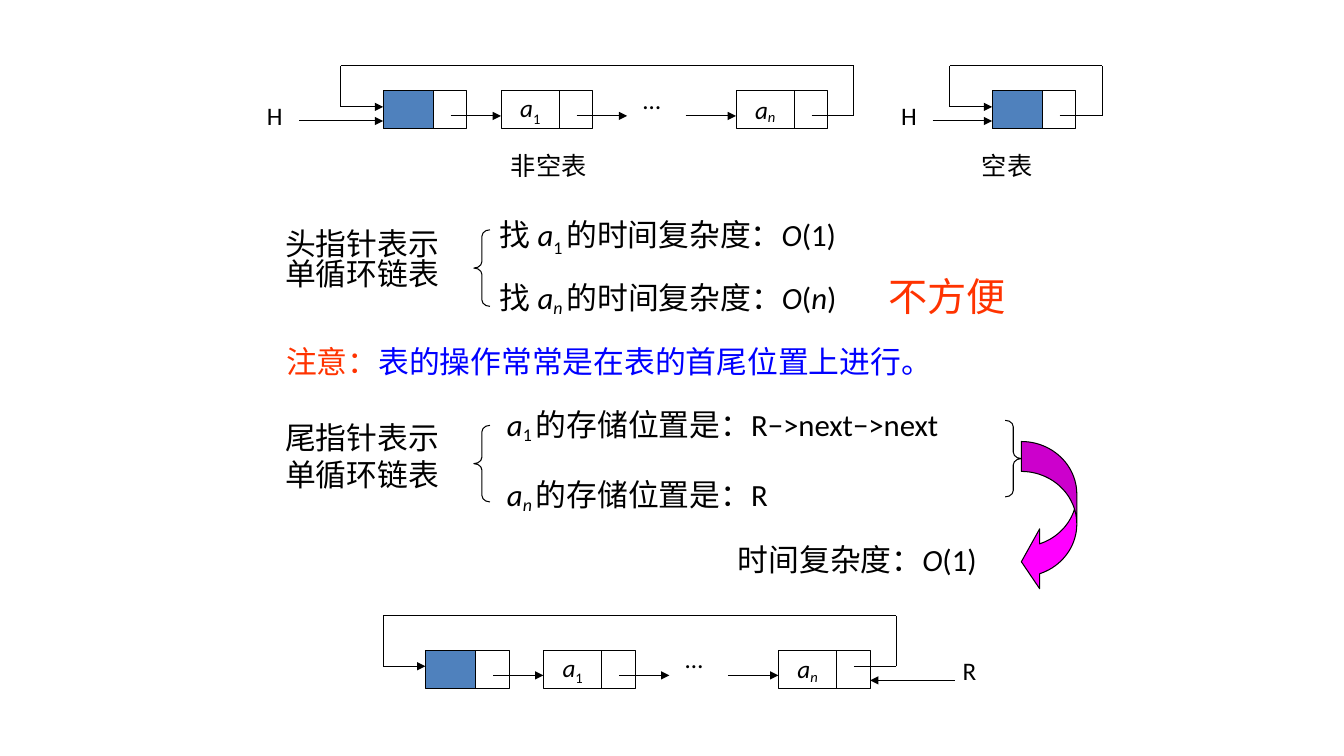
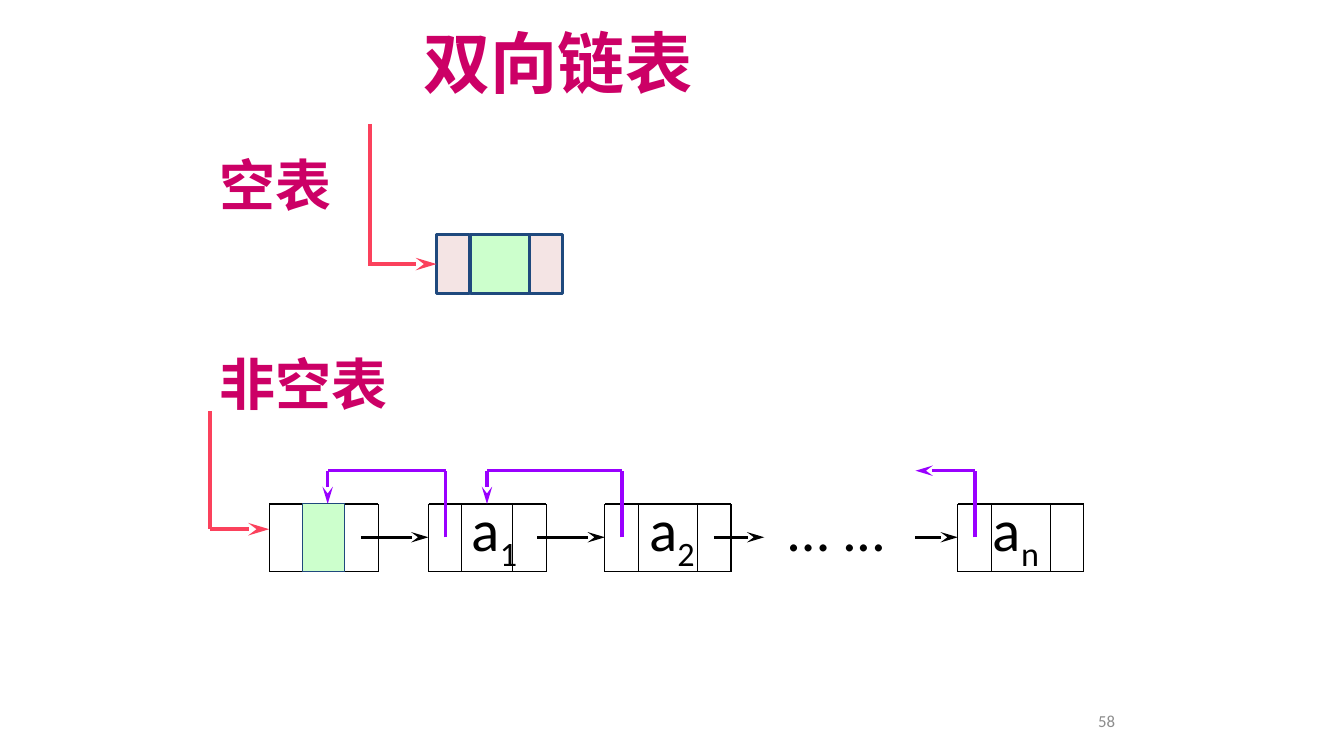
import pptx
import pptx.util
import pptx.dml.color
import pptx.enum.shapes
import pptx.enum.text
import pptx.oxml.ns
import lxml.etree

PX = 9144  # 100 px to the inch
COLORS = {
    "black": "000000", "grey": "8C8C8C", "red": "FF3300", "blue": "0000FF",
    "head": "4F81BD", "magenta": "FF00FF", "title": "CC0066", "coral": "FB415C",
    "violet": "9900FF", "green": "CCFFCC", "pink": "F4E4E4", "navy": "1F497D",
}
COLORS = {name: pptx.dml.color.RGBColor.from_string(value) for name, value in COLORS.items()}
SHAPE = pptx.enum.shapes.MSO_SHAPE
ALIGN = pptx.enum.text.PP_ALIGN
MIDDLE = pptx.enum.text.MSO_ANCHOR.MIDDLE
qn = pptx.oxml.ns.qn

deck = pptx.Presentation()
deck.slide_width, deck.slide_height = 1333 * PX, 750 * PX


def write(box, lines, size, color="black", bold=None, spacing=None, font="Calibri", align=ALIGN.LEFT):
    """Fill a box; a line is a list of runs (text, italic, baseline percent, colour)."""
    frame = box.text_frame
    frame.word_wrap = True
    for index, runs in enumerate(lines):
        para = frame.add_paragraph() if index else frame.paragraphs[0]
        para.alignment = align
        para.line_spacing = spacing
        para.font.size = pptx.util.Pt(size)
        para.font.bold = bold
        para.font.name = font
        para.font.color.rgb = COLORS[color]
        properties = para._p.pPr.find(qn("a:defRPr"))
        properties.set("lang", "zh-CN")
        lxml.etree.SubElement(properties, qn("a:ea")).set("typeface", font)
        for text, *style in runs:
            italic, baseline, tint = (style + [False, 0, None][len(style):])
            span = para.add_run()
            span.text = text
            if italic:
                span.font.italic = True
            if baseline:
                span._r.get_or_add_rPr().set("baseline", str(baseline * 1000))
            if tint:
                span.font.color.rgb = COLORS[tint]
    return frame


def draw_path(page, points, color="black", width=0.75, arrow=None):
    """Join the points with straight lines and return the last one."""
    for (x1, y1), (x2, y2) in zip(points, points[1:]):
        line = page.shapes.add_connector(
            pptx.enum.shapes.MSO_CONNECTOR.STRAIGHT, x1 * PX, y1 * PX, x2 * PX, y2 * PX)
        line.line.color.rgb = COLORS[color]
        line.line.width = pptx.util.Pt(width)
        lxml.etree.SubElement(line._element.spPr, qn("a:effectLst"))
    if arrow:
        tail = lxml.etree.SubElement(line.line._get_or_add_ln(), qn("a:tailEnd"))
        tail.set("type", arrow)
        if arrow == "stealth":
            tail.set("len", "lg")
    return line


# ---- Slide 1: circular singly linked lists ----
page = deck.slides.add_slide(deck.slide_layouts[6])
shapes = []  # (kind, left, top, width, height, fill, runs, adjustments)
A1 = [("a", True), ("1", False, -25)]
AN = [("a", True), ("n", True, -14)]
FULL = [(0, 50, None), (117, 58, A1), (350, 58, AN)]
POINTER, HEIGHT, LEAD = 33, 38, 42

# Lists: left, top, drop of the closing line, rise of the loop, nodes
for left, top, drop, rise, nodes in (
    (380, 90, 25, 25, FULL),
    (984, 90, 25, 25, FULL[:1]),
    (422, 645, 16, 34, FULL),
):
    for offset, width, runs in nodes:
        x = left + offset
        shapes.append((SHAPE.RECTANGLE, x, top, width, HEIGHT, None if runs else "head", runs, ()))
        x += width
        shapes.append((SHAPE.RECTANGLE, x, top, POINTER, HEIGHT, None, None, ()))
    start, turn = x + 17, x + 59
    draw_path(page, [(start, top + drop), (turn, top + drop), (turn, top - rise),
                     (left - LEAD, top - rise), (left - LEAD, top + 16), (left, top + 16)],
              arrow="triangle")
    if len(nodes) > 1:
        for offset in (67, 192, 300):
            draw_path(page, [(left + offset, top + 25), (left + offset + 50, top + 25)],
                      arrow="triangle")

# Arrows from the named pointers
for x1, x2, y in ((297, 380, 120), (925, 984, 120), (947, 863, 675)):
    draw_path(page, [(x1, y), (x2, y)], arrow="triangle")

# Braces and the curved arrow
for kind, left, top in ((SHAPE.LEFT_BRACE, 470, 228), (SHAPE.LEFT_BRACE, 470, 422),
                        (SHAPE.RIGHT_BRACE, 997, 417)):
    shapes.append((kind, left, top, 16, 76, None, None, (0.4, 0.5)))
shapes.append((SHAPE.CURVED_LEFT_ARROW, 1013, 438, 55, 149, "magenta", None, (0.54, 1.08, 0.33)))

for kind, left, top, width, height, fill, runs, adjustments in shapes:
    shape = page.shapes.add_shape(kind, left * PX, top * PX, width * PX, height * PX)
    shape.shadow.inherit = False
    shape.line.color.rgb = COLORS["black"]
    shape.line.width = pptx.util.Pt(0.75)
    if fill:
        shape.fill.solid()
        shape.fill.fore_color.rgb = COLORS[fill]
    else:
        shape.fill.background()
    for index, value in enumerate(adjustments):
        shape.adjustments[index] = value
    if runs:
        frame = write(shape, [runs], 18, align=ALIGN.CENTER)
        frame.word_wrap = False
        frame.vertical_anchor = MIDDLE

# Texts: left, top, width, height, size, line spacing, lines
COST = "的时间复杂度："
PLACE = "的存储位置是："
for left, top, width, height, size, spacing, lines in (
    (628, 79, 68, 40, 18, None, [[("…",)]]),
    (670, 633, 68, 40, 18, None, [[("…",)]]),
    (255, 95, 67, 40, 18, None, [[("H",)]]),
    (884, 95, 67, 40, 18, None, [[("H",)]]),
    (945, 645, 40, 40, 18, None, [[("R",)]]),
    (497, 144, 150, 40, 18, None, [[("非空表",)]]),
    (964, 144, 108, 40, 18, None, [[("空表",)]]),
    (273, 218, 211, 82, 22, None, [[("头指针表示",)], [("单循环链表",)]]),
    (273, 403, 181, 92, 22, 1.2, [[("尾指针表示",)], [("单循环链表",)]]),
    (274, 328, 682, 51, 22, 1.2,
     [[("注意：", False, 0, "red"), ("表的操作常常是在表的首尾位置上进行。", False, 0, "blue")]]),
    (486, 210, 417, 43, 22, 0.9,
     [[("找 ",), ("a", True), ("1 ", False, -25), (COST,), ("O", True), ("(1)",)]]),
    (486, 280, 420, 38, 22, 0.7,
     [[("找 ",), ("a", True), ("n ", True, -16), (COST,), ("O", True), ("(",), ("n", True), (")",)]]),
    (493, 390, 469, 51, 22, 1.2,
     [[("a", True), ("1 ", False, -16), (PLACE + "R−>next−>next",)]]),
    (493, 459, 291, 51, 22, 1.2, [[("a", True), ("n ", True, -18), (PLACE + "R",)]]),
    (722, 542, 307, 38, 22, 0.7, [[("时间复杂度：",), ("O", True), ("(1)",)]]),
):
    box = page.shapes.add_textbox(left * PX, top * PX, width * PX, height * PX)
    frame = write(box, lines, size, spacing=spacing)
    if len(lines) > 1:
        second = frame.paragraphs[1]
        second.line_spacing = 1.0 if spacing else 0.3
        second.space_before = pptx.util.Pt(0 if spacing else 11)

box = page.shapes.add_textbox(871 * PX, 265 * PX, 157 * PX, 57 * PX)
write(box, [[("不方便",)]], 28, "red", font="Noto Sans CJK SC")

# ---- Slide 2: doubly linked lists ----
page = deck.slides.add_slide(deck.slide_layouts[5])
title = page.shapes.title
title.left, title.top, title.width, title.height = 410 * PX, 16 * PX, 291 * PX, 91 * PX
frame = write(title, [[("双向链表",)]], 48, "title", bold=True)
frame.vertical_anchor = pptx.enum.text.MSO_ANCHOR.TOP
frame.auto_size = pptx.enum.text.MSO_AUTO_SIZE.NONE

for left, top, width, label in ((208, 144, 132, "空表"), (208, 342, 188, "非空表")):
    box = page.shapes.add_textbox(left * PX, top * PX, width * PX, 77 * PX)
    write(box, [[(label,)]], 40, "title", bold=True)

# Node names
for left, runs in (
    (458, [("a",), ("1", False, -25)]),
    (634, [("a",), ("2", False, -25)]),
    (772, [("… ...",)]),
    (975, [("a",), ("n", False, -25)]),
):
    box = page.shapes.add_textbox(left * PX, 484 * PX, 150 * PX, 111 * PX)
    write(box, [runs], 42)

# Ruled nodes: two long sides, then the cell edges
TOP, BOTTOM, CENTER, BACK = 500, 567, 533, 467
for edges in ((267, 300, 342, 375), (425, 458, 508, 542),
              (600, 633, 692, 725), (950, 983, 1042, 1075)):
    for y in (TOP, BOTTOM):
        draw_path(page, [(edges[0], y), (edges[-1], y)])
    for x in edges:
        draw_path(page, [(x, TOP), (x, BOTTOM)])

# Links forward
for x1, x2 in ((358, 425), (533, 600), (708, 758), (908, 950)):
    draw_path(page, [(x1, CENTER), (x2, CENTER)], width=2.5, arrow="stealth")

# Links back
for points in (
    [(442, CENTER), (442, BACK), (325, BACK), (325, TOP)],
    [(617, CENTER), (617, BACK), (483, BACK), (483, TOP)],
    [(967, CENTER), (967, BACK), (908, BACK)],
):
    draw_path(page, points, "violet", 2.5, "stealth")

# Filled cells: the empty list, then the head of the full one
cells = []
for left, top, width, height, fill, weight in (
    (467, 233, 58, 58, "green", 2.25),
    (525, 233, 33, 58, "pink", 2.25),
    (433, 233, 33, 58, "pink", 2.25),
    (300, TOP, 42, 67, "green", 0.75),
):
    cell = page.shapes.add_shape(SHAPE.RECTANGLE, left * PX, top * PX, width * PX, height * PX)
    cell.shadow.inherit = False
    cell.fill.solid()
    cell.fill.fore_color.rgb = COLORS[fill]
    cell.line.color.rgb = COLORS["navy"]
    cell.line.width = pptx.util.Pt(weight)
    cells.append(cell)

# Head pointers
draw_path(page, [(208, 408), (208, 525), (267, 525)], "coral", 3, "stealth")
draw_path(page, [(367, 123), (367, 264)], "coral", 3)
head = draw_path(page, [(367, 262), (433, 262)], "coral", 3, "stealth")
head.end_connect(cells[2], 1)

# Page number
box = page.shapes.add_textbox(883 * PX, 695 * PX, 233 * PX, 40 * PX)
write(box, [[("58",)]], 12, "grey", align=ALIGN.RIGHT).vertical_anchor = MIDDLE

deck.save("out.pptx")
